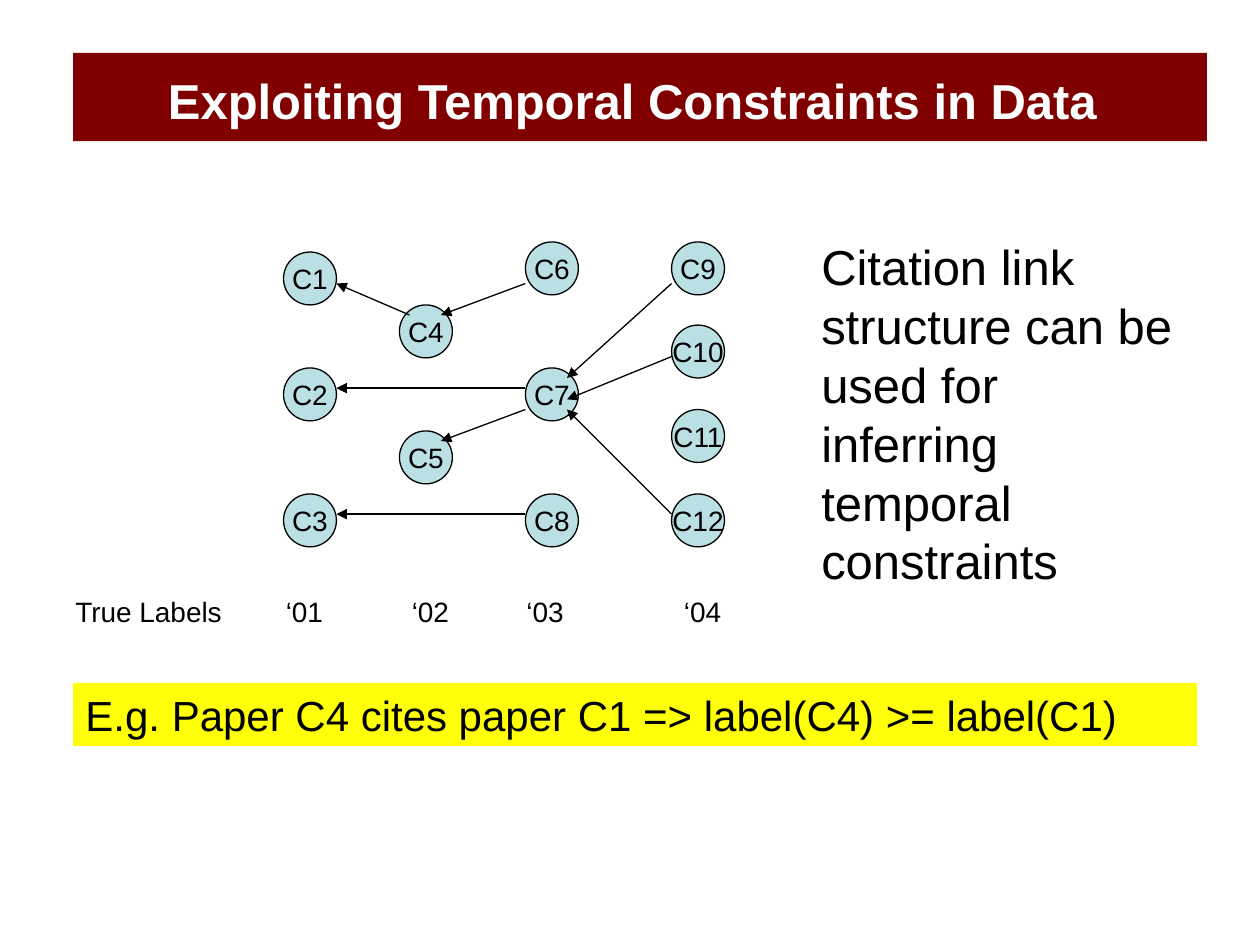
from dataclasses import dataclass

from lxml import etree
from pptx import Presentation
from pptx import util as u
from pptx.dml.color import RGBColor
from pptx.enum import shapes, text
from pptx.oxml import ns


@dataclass(frozen=True)
class Theme:
    """Colours, type sizes and line width of the slide."""
    font: str = "Arial"
    black: str = "000000"
    white: str = "FFFFFF"
    maroon: str = "800000"
    yellow: str = "FFFF0A"
    pale_blue: str = "BBE0E3"
    large: int = 28
    medium: int = 24
    small: int = 16
    line: float = 0.75


THEME = Theme()
NODE_SIZE = 0.42
PAPERS = {
    "C1": (0, 0.08), "C2": (0, 1), "C3": (0, 2),
    "C4": (0.92, 0.5), "C5": (0.92, 1.5),
    "C6": (1.92, 0), "C7": (1.92, 1), "C8": (1.92, 2),
    "C9": (3.08, 0), "C10": (3.08, 0.66), "C11": (3.08, 1.33), "C12": (3.08, 2),
}
CITATIONS = [
    ((1, 0.58), (0.42, 0.33)),
    ((1.92, 1.16), (0.42, 1.16)),
    ((3.08, 0.33), (2.25, 1.08)),
    ((3.08, 0.91), (2.25, 1.25)),
    ((3.08, 2.16), (2.25, 1.33)),
    ((1.92, 1.33), (1.25, 1.58)),
    ((1.92, 0.33), (1.25, 0.58)),
    ((1.92, 2.16), (0.42, 2.16)),
]
YEARS = {"‘01": 1.67, "‘02": 2.67, "‘03": 3.58, "‘04": 4.83}


def inches(*lengths):
    """Turn numbers into lengths in inches."""
    return [u.Inches(length) for length in lengths]


def write(shape, words, size, color=THEME.black, bold=False, centred=False, wrap=True):
    """Put one paragraph of styled words in a shape."""
    frame = shape.text_frame
    frame.word_wrap = wrap
    frame.vertical_anchor = text.MSO_ANCHOR.MIDDLE if centred else text.MSO_ANCHOR.TOP
    para = frame.paragraphs[0]
    para.text = words
    para.alignment = text.PP_ALIGN.CENTER if centred else text.PP_ALIGN.LEFT
    para.font.name = THEME.font
    para.font.size = u.Pt(size)
    para.font.bold = bold
    para.font.color.rgb = RGBColor.from_string(color)


def add_filled(page, kind, box, fill, outlined=False):
    """Add a flat preset shape, with or without an outline."""
    shape = page.shapes.add_shape(kind, *inches(*box))
    shape.shadow.inherit = False
    shape.fill.solid()
    shape.fill.fore_color.rgb = RGBColor.from_string(fill)
    if outlined:
        shape.line.color.rgb = RGBColor.from_string(THEME.black)
        shape.line.width = u.Pt(THEME.line)
    else:
        shape.line.fill.background()
    return shape


def add_label(page, box, words, size, wrap=True):
    """Add a plain text box."""
    label = page.shapes.add_textbox(*inches(*box))
    write(label, words, size, wrap=wrap)


def add_arrow(page, start, end):
    """Add a thin arrow that points at its end."""
    arrow = page.shapes.add_connector(
        shapes.MSO_CONNECTOR.STRAIGHT, *inches(*start, *end))
    arrow.line.color.rgb = RGBColor.from_string(THEME.black)
    arrow.line.width = u.Pt(THEME.line)
    etree.SubElement(arrow.line._get_or_add_ln(), ns.qn("a:tailEnd"), type="triangle")
    etree.SubElement(arrow._element.spPr, ns.qn("a:effectLst"))


def add_title(page, box):
    """Add the title banner."""
    banner = add_filled(page, shapes.MSO_SHAPE.RECTANGLE, box, THEME.maroon)
    banner.text_frame.margin_right = u.Inches(0.22)
    banner.text_frame.margin_top = u.Inches(0.09)
    write(banner, "Exploiting Temporal Constraints in Data", THEME.large,
          THEME.white, bold=True, centred=True)


def add_citation_graph(page, box):
    """Add the papers and the arrows to the papers they cite."""
    left, top, _, _ = box
    for name, (x, y) in PAPERS.items():
        node_box = (left + x, top + y, NODE_SIZE, NODE_SIZE)
        node = add_filled(page, shapes.MSO_SHAPE.OVAL, node_box, THEME.pale_blue, outlined=True)
        write(node, name, THEME.small, centred=True, wrap=False)
    for start, end in CITATIONS:
        add_arrow(page, *((left + x, top + y) for x, y in (start, end)))


def add_year_labels(page, box):
    """Add the row of true labels below the graph."""
    left, top, _, height = box
    add_label(page, (left, top, 1.37, height), "True Labels", THEME.small, wrap=False)
    for year, x in YEARS.items():
        add_label(page, (left + x, top, 0.5, height), year, THEME.small)


def add_remark(page, box):
    """Add the remark beside the graph."""
    add_label(page, box, "Citation link structure can be used for inferring "
              "temporal constraints", THEME.large)


def add_example(page, box):
    """Add the highlighted example."""
    band = add_filled(page, shapes.MSO_SHAPE.RECTANGLE, box, THEME.yellow)
    write(band, "E.g. Paper C4 cites paper C1 => label(C4) >= label(C1)", THEME.medium)


def main():
    """Build and save the deck."""
    deck = Presentation()
    deck.slide_width, deck.slide_height = inches(10, 7.5)
    page = deck.slides.add_slide(deck.slide_layouts[6])
    add_title(page, (0.58, 0.42, 9, 0.7))
    add_citation_graph(page, (2.25, 1.92, 3.5, 2.42))
    add_year_labels(page, (0.5, 4.67, 5.33, 0.37))
    add_remark(page, (6.42, 1.83, 3, 2.9))
    add_example(page, (0.58, 5.42, 8.92, 0.5))
    deck.save("out.pptx")


if __name__ == "__main__":
    main()
